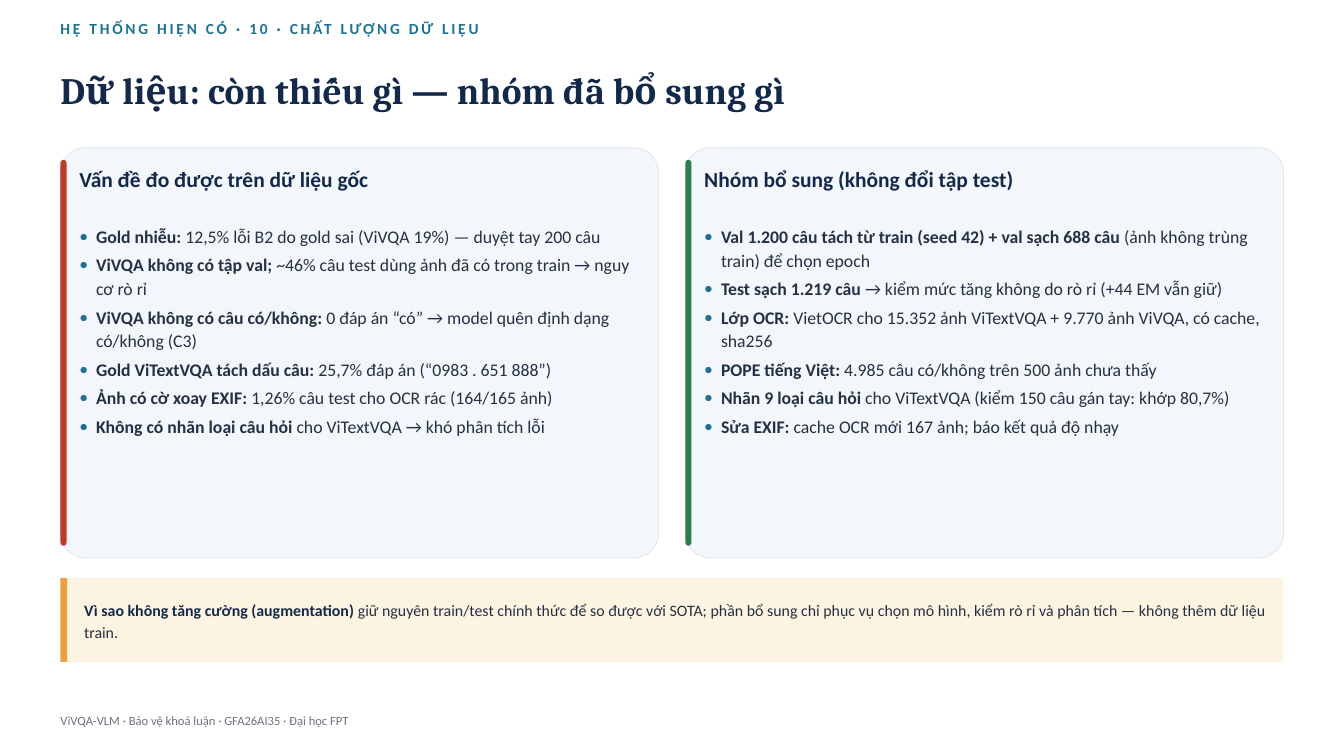
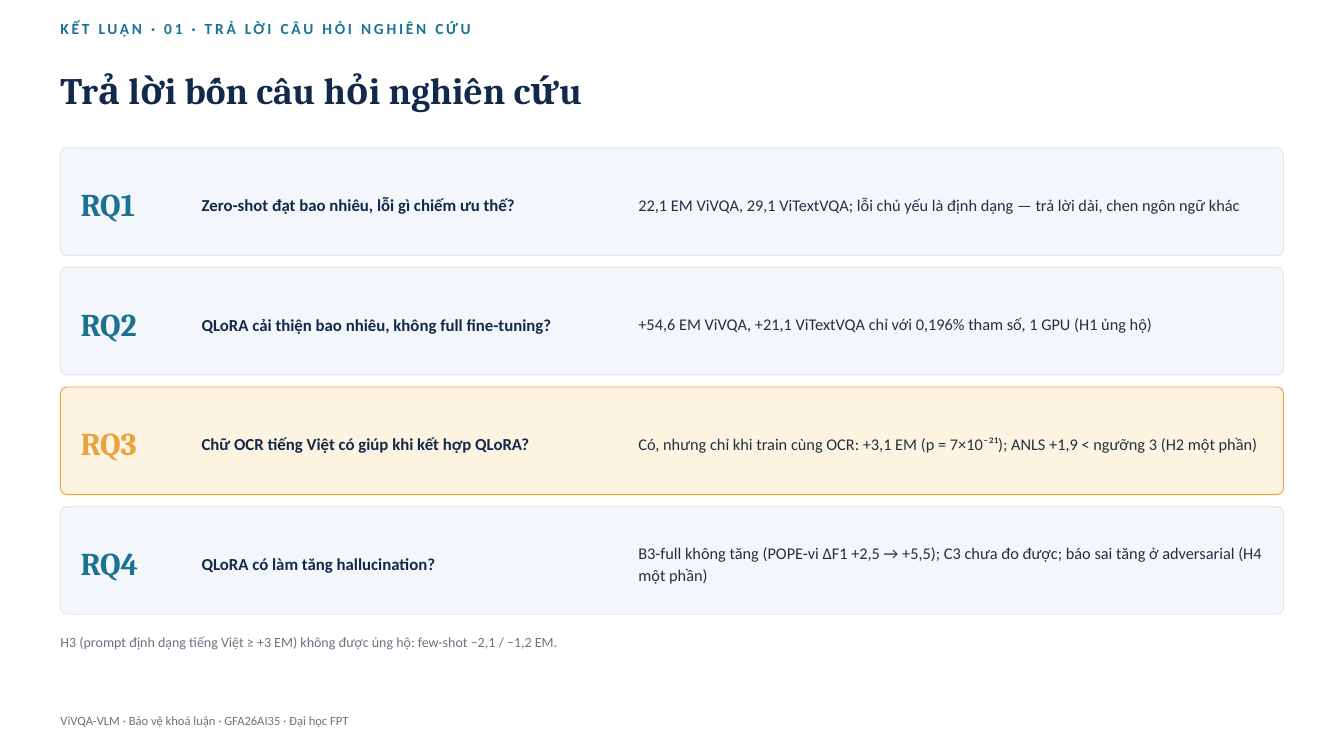
from dataclasses import dataclass
from lxml.etree import SubElement
from pptx import Presentation
from pptx.dml.color import RGBColor
from pptx.enum.shapes import MSO_SHAPE as Shape
from pptx.enum.text import MSO_ANCHOR as Anchor, MSO_AUTO_SIZE as Fit
from pptx.oxml.ns import qn
from pptx.util import Pt

PX = 9144
WIDE, HIGH = 2000, 1125
LEFT, SPAN = 90, 1820
TOP = 220


@dataclass(frozen=True)
class Theme:
    navy: str = "13294B"
    teal: str = "1C7293"
    ink: str = "243044"
    grey: str = "6B7280"
    pale: str = "F3F6FA"
    edge: str = "E2E7EE"
    cream: str = "FDF3E1"
    gold: str = "E8A33D"
    red: str = "C0392B"
    green: str = "2E7D4F"
    body: str = "Calibri"
    serif: str = "Cambria"
    kicker: float = 16.5
    title: float = 40
    head: float = 23
    item: float = 19
    note: float = 17
    code: float = 34
    ask: float = 18
    reply: float = 17.5
    remark: float = 15
    foot: float = 13.5
    leading: float = 1.12
    after: float = 4
    gap: float = 5


T = Theme()


def tint(hue):
    return RGBColor.from_string(hue)


def emu(box):
    return [n * PX for n in box]


def panel(slide, box, fill, line=None, kind=Shape.ROUNDED_RECTANGLE, curve=0.06):
    shape = slide.shapes.add_shape(kind, *emu(box))
    shape.shadow.inherit = False
    shape.fill.solid()
    shape.fill.fore_color.rgb = tint(fill)
    if line:
        shape.line.color.rgb = tint(line)
        shape.line.width = Pt(1)
    else:
        shape.line.fill.background()
    if kind == Shape.ROUNDED_RECTANGLE:
        shape.adjustments[0] = curve


def frame(slide, box, anchor=Anchor.TOP):
    text = slide.shapes.add_textbox(*emu(box)).text_frame
    text.margin_left = text.margin_top = text.margin_right = text.margin_bottom = 0
    text.word_wrap = True
    text.auto_size = Fit.SHAPE_TO_FIT_TEXT
    text.vertical_anchor = anchor
    return text


def space(para, leading=T.leading, after=T.after):
    para.line_spacing = leading
    para.space_after = Pt(after)


def add_run(para, words, size, hue, bold=False, face=T.body):
    run = para.add_run()
    run.text = words
    run.font.size = Pt(size)
    run.font.name = face
    run.font.bold = bold
    run.font.color.rgb = tint(hue)
    return run


def label(slide, box, words, size, hue, bold=False, face=T.body,
          anchor=Anchor.TOP, leading=T.leading, after=T.after):
    para = frame(slide, box, anchor).paragraphs[0]
    space(para, leading, after)
    return add_run(para, words, size, hue, bold, face)


def bullet(para, indent=25):
    props = para._p.get_or_add_pPr()
    props.set("marL", str(indent * PX))
    props.set("indent", str(-indent * PX))
    color = SubElement(props, qn("a:buClr"))
    SubElement(color, qn("a:srgbClr"), val=T.teal)
    SubElement(props, qn("a:buFont"), typeface=T.body)
    SubElement(props, qn("a:buChar"), char="•")


def start(deck, kicker, title):
    slide = deck.slides.add_slide(deck.slide_layouts[6])
    slide.background.fill.solid()
    slide.background.fill.fore_color.rgb = tint("FFFFFF")
    run = label(slide, (LEFT, 29, SPAN, 64), kicker, T.kicker, T.teal, True,
                leading=Pt(19.8), after=0)
    run.font._element.set("spc", "300")
    label(slide, (LEFT, 87, SPAN, 111), title, T.title, T.navy, True, T.serif,
          leading=Pt(57.6), after=0)
    return slide


def footer(slide):
    label(slide, (LEFT, 1058, 1500, 40),
          "ViVQA-VLM · Bảo vệ khoá luận · GFA26AI35 · Đại học FPT", T.foot, T.grey)


def card(slide, box, accent, head, items):
    x, y, w, h = box
    panel(slide, box, T.pale, T.edge)
    panel(slide, (x, y + 18, 9, h - 36), accent, curve=0.5)
    label(slide, (x + 28, y + 22, w - 56, 60), head, T.head, T.navy, True)
    text = frame(slide, (x + 28, y + 112, w - 56, h - 122))
    for i, (lead, rest) in enumerate(items):
        para = text.add_paragraph() if i else text.paragraphs[0]
        bullet(para)
        space(para, after=T.gap)
        add_run(para, lead, T.item, T.ink, True)
        add_run(para, rest, T.item, T.ink)


def callout(slide, box, lead, rest):
    x, y, w, h = box
    panel(slide, box, T.cream)
    panel(slide, (x, y, 10, h), T.gold, kind=Shape.RECTANGLE)
    para = frame(slide, (x + 35, y, w - 55, h), Anchor.MIDDLE).paragraphs[0]
    space(para)
    add_run(para, lead, T.note, T.navy, True)
    add_run(para, rest, T.note, T.ink)


def answer(slide, box, code, ask, reply, strong):
    x, y, w, h = box
    fill, line, hue = (T.cream, T.gold, T.gold) if strong else (T.pale, T.edge, T.teal)
    panel(slide, box, fill, line)
    label(slide, (x + 30, y + 20, 160, h - 40), code, T.code, hue, True, T.serif,
          Anchor.MIDDLE)
    label(slide, (x + 210, y + 18, 630, h - 30), ask, T.ask, T.navy, True,
          anchor=Anchor.MIDDLE)
    label(slide, (x + 860, y + 18, w - 880, h - 30), reply, T.reply, T.ink,
          anchor=Anchor.MIDDLE)


CARDS = [
    (T.red, "Vấn đề đo được trên dữ liệu gốc", [
        ("Gold nhiễu: ", "12,5% lỗi B2 do gold sai (ViVQA 19%) — duyệt tay 200 câu"),
        ("ViVQA không có tập val; ",
         "~46% câu test dùng ảnh đã có trong train → nguy cơ rò rỉ"),
        ("ViVQA không có câu có/không: ",
         "0 đáp án “có” → model quên định dạng có/không (C3)"),
        ("Gold ViTextVQA tách dấu câu: ", "25,7% đáp án (“0983 . 651 888”)"),
        ("Ảnh có cờ xoay EXIF: ", "1,26% câu test cho OCR rác (164/165 ảnh)"),
        ("Không có nhãn loại câu hỏi ", "cho ViTextVQA → khó phân tích lỗi"),
    ]),
    (T.green, "Nhóm bổ sung (không đổi tập test)", [
        ("Val 1.200 câu tách từ train (seed 42) + val sạch 688 câu ",
         "(ảnh không trùng train) để chọn epoch"),
        ("Test sạch 1.219 câu ", "→ kiểm mức tăng không do rò rỉ (+44 EM vẫn giữ)"),
        ("Lớp OCR: ",
         "VietOCR cho 15.352 ảnh ViTextVQA + 9.770 ảnh ViVQA, có cache, sha256"),
        ("POPE tiếng Việt: ", "4.985 câu có/không trên 500 ảnh chưa thấy"),
        ("Nhãn 9 loại câu hỏi ", "cho ViTextVQA (kiểm 150 câu gán tay: khớp 80,7%)"),
        ("Sửa EXIF: ", "cache OCR mới 167 ảnh; báo kết quả độ nhạy"),
    ]),
]

ANSWERS = [
    ("Zero-shot đạt bao nhiêu, lỗi gì chiếm ưu thế?",
     "22,1 EM ViVQA, 29,1 ViTextVQA; lỗi chủ yếu là định dạng — trả lời dài, "
     "chen ngôn ngữ khác"),
    ("QLoRA cải thiện bao nhiêu, không full fine-tuning?",
     "+54,6 EM ViVQA, +21,1 ViTextVQA chỉ với 0,196% tham số, 1 GPU (H1 ủng hộ)"),
    ("Chữ OCR tiếng Việt có giúp khi kết hợp QLoRA?",
     "Có, nhưng chỉ khi train cùng OCR: +3,1 EM (p = 7×10⁻²¹); "
     "ANLS +1,9 < ngưỡng 3 (H2 một phần)"),
    ("QLoRA có làm tăng hallucination?",
     "B3-full không tăng (POPE-vi ΔF1 +2,5 → +5,5); C3 chưa đo được; "
     "báo sai tăng ở adversarial (H4 một phần)"),
]


def data_slide(deck):
    slide = start(deck, "HỆ THỐNG HIỆN CÓ · 10 · CHẤT LƯỢNG DỮ LIỆU",
                  "Dữ liệu: còn thiếu gì — nhóm đã bổ sung gì")
    gap = 40
    width = (SPAN - gap) // 2
    for i, (accent, head, items) in enumerate(CARDS):
        card(slide, (LEFT + i * (width + gap), TOP, width, 610), accent, head, items)
    callout(slide, (LEFT, 860, SPAN, 125), "Vì sao không tăng cường (augmentation) ",
            "giữ nguyên train/test chính thức để so được với SOTA; phần bổ sung chỉ "
            "phục vụ chọn mô hình, kiểm rò rỉ và phân tích — không thêm dữ liệu train.")
    footer(slide)


def answer_slide(deck):
    slide = start(deck, "KẾT LUẬN · 01 · TRẢ LỜI CÂU HỎI NGHIÊN CỨU",
                  "Trả lời bốn câu hỏi nghiên cứu")
    height, gap = 160, 18
    for i, (ask, reply) in enumerate(ANSWERS):
        box = (LEFT, TOP + i * (height + gap), SPAN, height)
        answer(slide, box, f"RQ{i + 1}", ask, reply, strong=i == 2)
    label(slide, (LEFT, 940, SPAN, 50),
          "H3 (prompt định dạng tiếng Việt ≥ +3 EM) không được ủng hộ: "
          "few-shot −2,1 / −1,2 EM.", T.remark, T.grey)
    footer(slide)


def main():
    deck = Presentation()
    deck.slide_width, deck.slide_height = WIDE * PX, HIGH * PX
    data_slide(deck)
    answer_slide(deck)
    deck.save("out.pptx")


if __name__ == "__main__":
    main()
